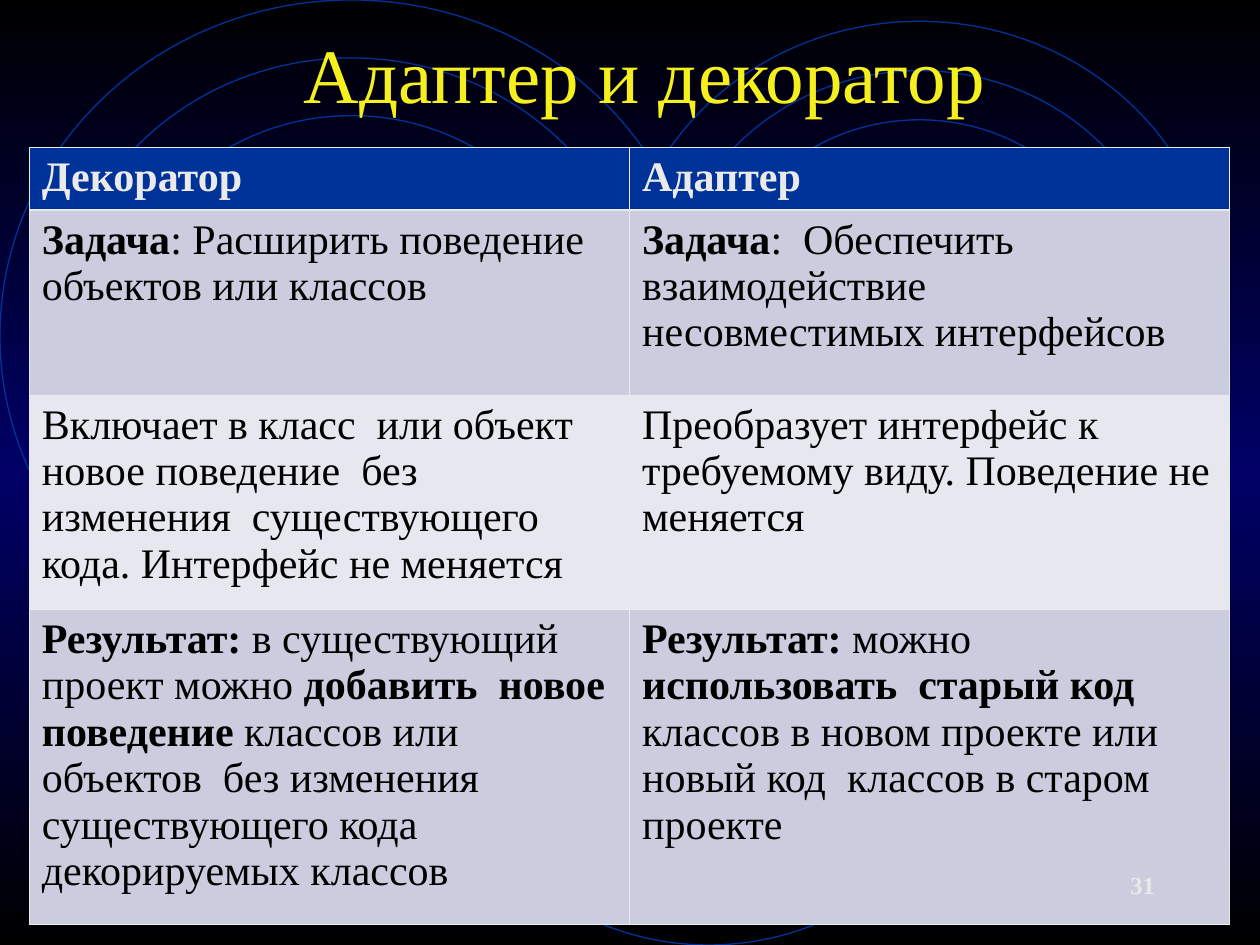
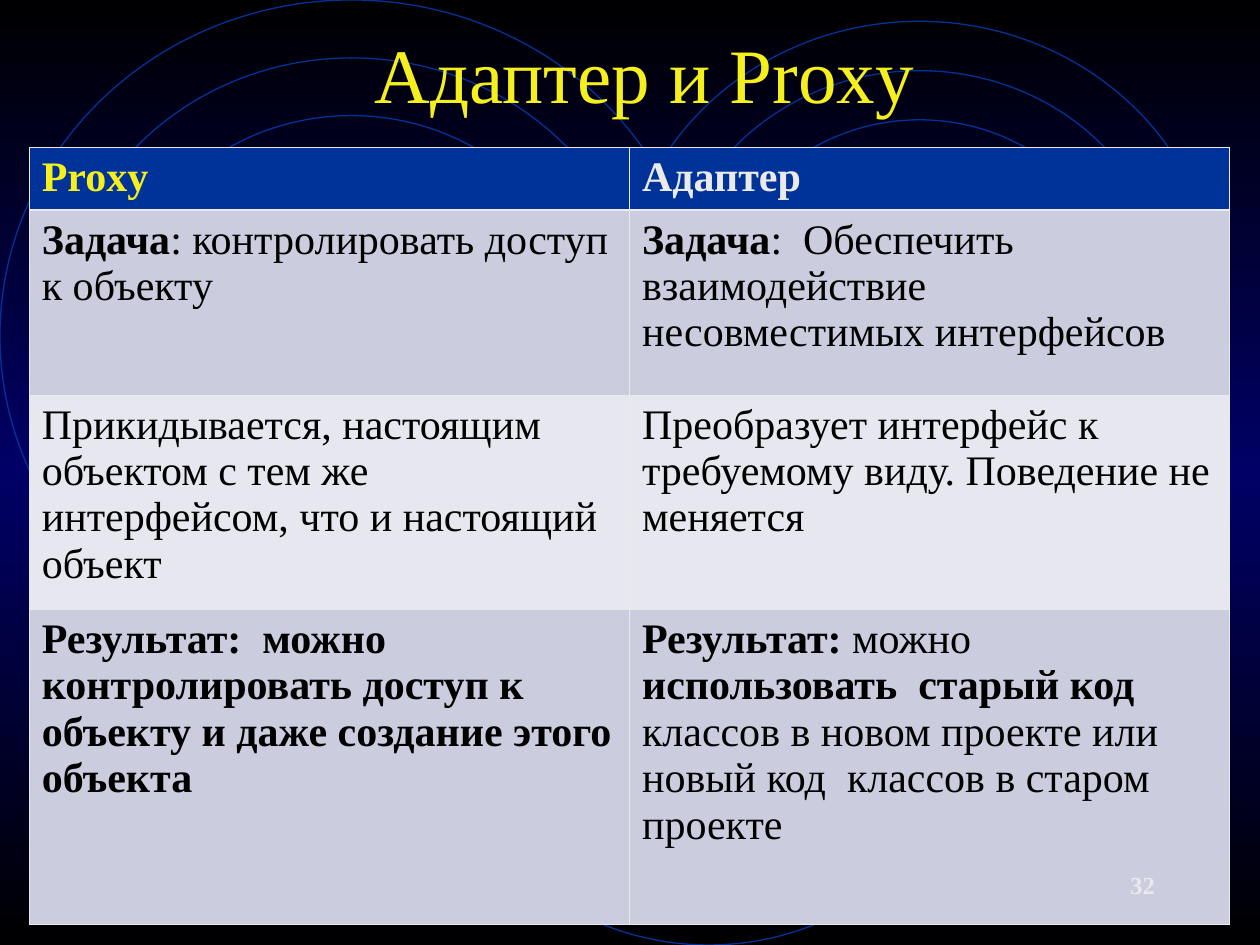
from pptx import Presentation
from pptx.dml.color import RGBColor
from pptx.enum.dml import MSO_LINE
from pptx.enum.shapes import MSO_SHAPE
from pptx.enum.text import MSO_ANCHOR, MSO_AUTO_SIZE, PP_ALIGN
from pptx.oxml import parse_xml
from pptx.oxml.ns import nsdecls
from pptx.util import Cm, Pt

ELLIPSE = MSO_SHAPE.OVAL
DOTTED = MSO_LINE.ROUND_DOT
MIDDLE = MSO_ANCHOR.MIDDLE
NO_AUTOFIT = MSO_AUTO_SIZE.NONE
CENTER, RIGHT = PP_ALIGN.CENTER, PP_ALIGN.RIGHT

FONT = "Times New Roman"
YELLOW, LIGHT, BLACK, BLUE = "F5F01D", "EAEAEA", "000000", "003399"
BACKGROUND_STOPS = [(0, BLACK), (50, "000066"), (100, BLACK)]
ROW_FILLS = [BLUE, "CBCDDE", "E7E8EF", "CBCDDE"]

# Text between ** marks is bold.
ADAPTER = [
    "**Адаптер**",
    "**Задача**:  Обеспечить взаимодействие несовместимых интерфейсов",
    "Преобразует интерфейс к требуемому виду. Поведение не меняется",
    "**Результат: **можно **использовать  старый код **классов в новом проекте "
    "или новый код  классов в старом проекте",
]
DECORATOR = [
    "**Декоратор**",
    "**Задача**: Расширить поведение  объектов или классов",
    "Включает в класс  или объект новое поведение  без изменения  "
    "существующего кода. Интерфейс не меняется",
    "**Результат: **в существующий  проект можно **добавить  новое поведение "
    "**классов или объектов  без изменения существующего кода  "
    "декорируемых классов",
]
PROXY = [
    "**Proxy**",
    "**Задача**: контролировать доступ к объекту",
    "Прикидывается, настоящим объектом с тем же интерфейсом, "
    "что и настоящий объект",
    "**Результат:  можно контролировать доступ к объекту "
    "и даже создание этого объекта**",
]
# The trailing space of each title takes part in its centring.
COMPARISONS = [
    {"number": 31, "title": "Адаптер и декоратор ",
     "columns": [(DECORATOR, LIGHT), (ADAPTER, LIGHT)]},
    {"number": 32, "title": "Адаптер и Proxy ",
     "columns": [(PROXY, YELLOW), (ADAPTER, LIGHT)]},
]

# Positions in centimetres: left, top, width, height
TITLE_BOX = (1.78, 0.58, 22.81, 1.78)
NUMBER_BOX = (18.2, 17.2, 5.33, 1.27)
TABLE_LEFT, TABLE_TOP, COLUMN_WIDTH = 0.59, 2.97, 12.1
ROW_HEIGHTS = [1.27, 3.73, 4.32, 6.35]
OUTER_RINGS = [(0, 0, 14.17, 13.54), (8.89, 8.89, 10.8, 10.16),
               (12.5, 0.43, 12.07, 11.43)]
RING_INSETS = [0, 0.0824, 0.1645, 0.246, 0.3115]  # share of the outer width
THIN, THICK = 0.45, 1.47


def rgb(color):
    return RGBColor.from_string(color)


def cm(*lengths):
    return [Cm(length) for length in lengths]


def style(font, size, color, bold=False):
    font.name, font.size, font.bold = FONT, Pt(size), bold
    font.color.rgb = rgb(color)


def set_background(layout):
    stops = "".join(
        f'<a:gs pos="{place * 1000}"><a:srgbClr val="{color}"/></a:gs>'
        for place, color in BACKGROUND_STOPS)
    layout.element.cSld.insert(0, parse_xml(
        f'<p:bg {nsdecls("p", "a")}><p:bgPr><a:gradFill><a:gsLst>{stops}</a:gsLst>'
        '<a:lin ang="5400000" scaled="0"/></a:gradFill><a:effectLst/></p:bgPr></p:bg>'))


def add_rings(slide, layout):
    """Draw the rings by way of a slide and move them behind the layout's parts."""
    position = 2
    for left, top, width, height in OUTER_RINGS:
        for share in RING_INSETS:
            inset = share * width
            ring = slide.shapes.add_shape(ELLIPSE, *cm(
                left + inset, top + inset, width - 2 * inset, height - 2 * inset))
            ring.shadow.inherit = False
            ring.fill.background()
            ring.line.color.rgb = rgb(BLUE)
            ring.line.width = Pt(0.75)
            if share == RING_INSETS[-1]:
                ring.line.dash_style = DOTTED
            ring.element.nvSpPr.cNvPr.id = 100 + position
            layout.shapes.element.insert(position, ring.element)
            position += 1


def add_title(slide, words):
    title = slide.shapes.title
    title.left, title.top, title.width, title.height = cm(*TITLE_BOX)
    frame = title.text_frame
    frame.text = words
    frame.auto_size = NO_AUTOFIT
    frame.vertical_anchor = MIDDLE
    frame.paragraphs[0].alignment = CENTER
    style(frame.paragraphs[0].runs[0].font, 44, YELLOW)


def set_borders(cell, top, bottom):
    properties = cell._tc.get_or_add_tcPr()
    for side, width in (("L", THIN), ("R", THIN), ("T", top), ("B", bottom)):
        properties.append(parse_xml(
            f'<a:ln{side} {nsdecls("a")} w="{Pt(width)}"><a:solidFill>'
            f'<a:srgbClr val="{LIGHT}"/></a:solidFill></a:ln{side}>'))


def fill_cell(cell, words, row, color):
    set_borders(cell, THICK if row == 1 else THIN, THICK if row == 0 else THIN)
    cell.fill.solid()
    cell.fill.fore_color.rgb = rgb(ROW_FILLS[row])
    paragraph = cell.text_frame.paragraphs[0]
    for index, part in enumerate(words.split("**")):
        if part:
            run = paragraph.add_run()
            run.text = part
            style(run.font, 24, color, bold=index % 2 == 1)


def add_comparison(slide, columns):
    table = slide.shapes.add_table(
        len(ROW_HEIGHTS), len(columns),
        *cm(TABLE_LEFT, TABLE_TOP, COLUMN_WIDTH * len(columns), sum(ROW_HEIGHTS))).table
    for row, height in enumerate(ROW_HEIGHTS):
        table.rows[row].height = Cm(height)
    for column, (entries, heading_color) in enumerate(columns):
        table.columns[column].width = Cm(COLUMN_WIDTH)
        for row, words in enumerate(entries):
            fill_cell(table.cell(row, column), words, row,
                      BLACK if row else heading_color)


def add_number(slide, number):
    frame = slide.shapes.add_textbox(*cm(*NUMBER_BOX)).text_frame
    frame.text = str(number)
    frame.word_wrap = True
    frame.vertical_anchor = MIDDLE
    frame.paragraphs[0].alignment = RIGHT
    style(frame.paragraphs[0].runs[0].font, 14, LIGHT, bold=True)


def main():
    deck = Presentation()
    deck.slide_width, deck.slide_height = cm(25.4, 19.05)
    layout = deck.slide_layouts[5]
    set_background(layout)
    slides = [deck.slides.add_slide(layout) for _ in COMPARISONS]
    add_rings(slides[0], layout)
    for slide, comparison in zip(slides, COMPARISONS):
        add_title(slide, comparison["title"])
        add_comparison(slide, comparison["columns"])
        add_number(slide, comparison["number"])
    deck.save("out.pptx")


if __name__ == "__main__":
    main()
